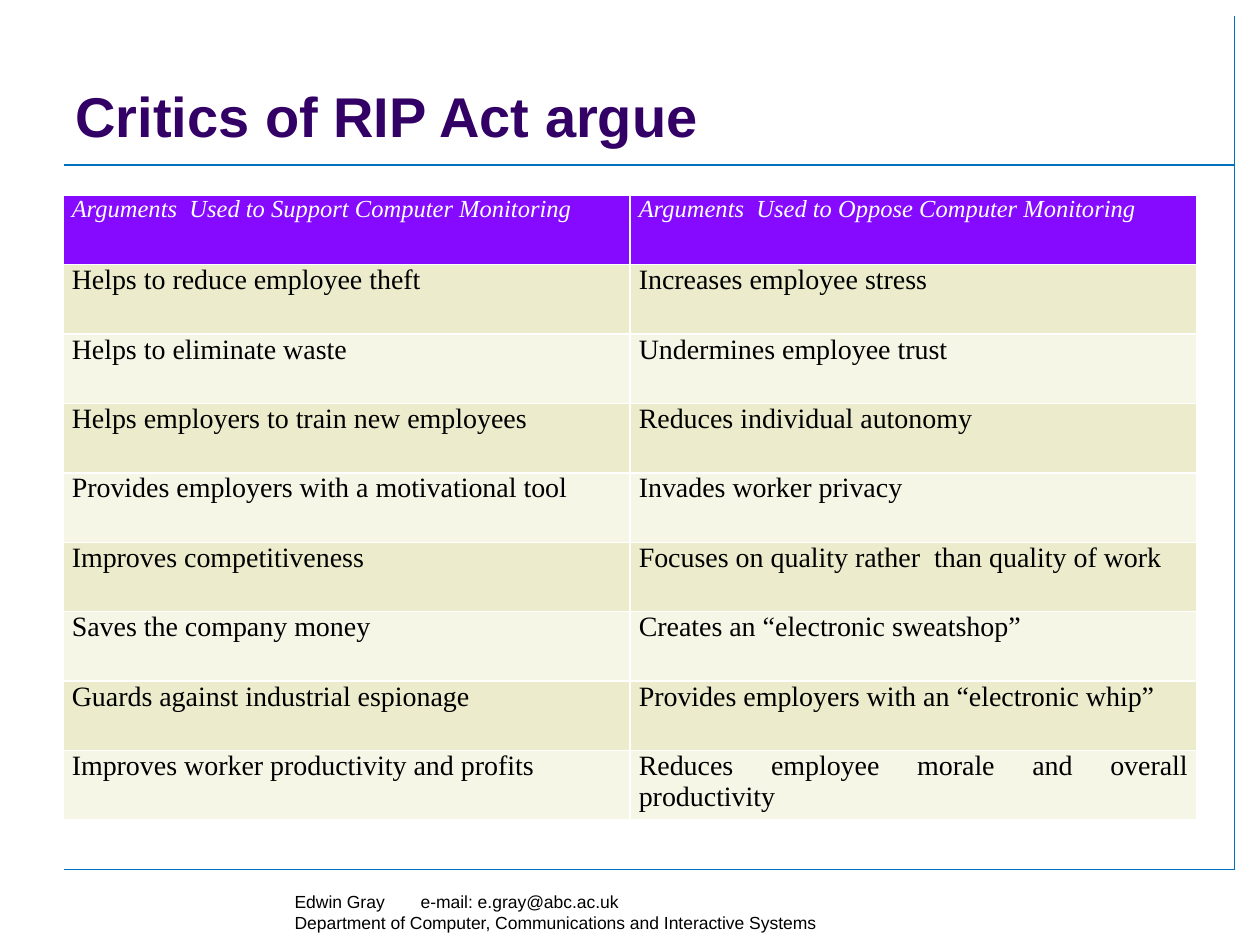
"""Build a slide weighing the arguments for and against computer monitoring."""
from lxml.etree import SubElement
from pptx import Presentation
from pptx.dml.color import RGBColor
from pptx.enum.shapes import MSO_CONNECTOR
from pptx.enum.text import MSO_ANCHOR, PP_ALIGN
from pptx.oxml.ns import qn
from pptx.util import Inches, Pt

BLUE = RGBColor(0x00, 0x70, 0xC0)
INDIGO = RGBColor(0x33, 0x00, 0x66)
VIOLET = RGBColor(0x85, 0x0A, 0xFF)
SAND = RGBColor(0xEC, 0xEC, 0xCC)
CREAM = RGBColor(0xF6, 0xF6, 0xE7)
WHITE = RGBColor(0xFF, 0xFF, 0xFF)
BLACK = RGBColor(0x00, 0x00, 0x00)

TITLE = {"name": "Arial", "size": Pt(32), "bold": True}
FOOTER = {"name": "Arial", "size": Pt(10)}
HEADER = {"name": "Times New Roman", "size": Pt(14), "bold": False, "italic": True}
BODY = {"name": "Times New Roman", "size": Pt(16), "bold": False}

ARGUMENTS = [
    ("Arguments  Used to Support Computer Monitoring", "Arguments  Used to Oppose Computer Monitoring"),
    ("Helps to reduce employee theft", "Increases employee stress"),
    ("Helps to eliminate waste", "Undermines employee trust"),
    ("Helps employers to train new employees", "Reduces individual autonomy"),
    ("Provides employers with a motivational tool", "Invades worker privacy"),
    ("Improves competitiveness", "Focuses on quality rather  than quality of work"),
    ("Saves the company money", "Creates an “electronic sweatshop”"),
    ("Guards against industrial espionage", "Provides employers with an “electronic whip”"),
    ("Improves worker productivity and profits", "Reduces employee morale and overall productivity"),
]


def write(p, text, color, font):
    r = p.add_run()
    r.text = text
    r.font.color.rgb = color
    for name, value in font.items():
        setattr(r.font, name, value)


def add_text(s, box, lines, color, font, anchor):
    tf = s.shapes.add_textbox(*map(Inches, box)).text_frame
    tf.word_wrap = True
    tf.vertical_anchor = anchor
    for i, line in enumerate(lines):
        p = tf.add_paragraph() if i else tf.paragraphs[0]
        write(p, line, color, font)


prs = Presentation()
prs.slide_width, prs.slide_height = Inches(10), Inches(7.5)
s = prs.slides.add_slide(prs.slide_layouts[6])

LEFT, RIGHT, TOP, BOTTOM = 0.51, 9.8, 1.31, 6.9
for ends in [(RIGHT, 0.13, RIGHT, BOTTOM), (LEFT, BOTTOM, RIGHT, BOTTOM), (LEFT, TOP, RIGHT, TOP)]:
    line = s.shapes.add_connector(MSO_CONNECTOR.STRAIGHT, *map(Inches, ends))
    line.line.color.rgb = BLUE
    line.line.width = Pt(0.75)
    SubElement(line._element.spPr, qn("a:effectLst"))

add_text(s, (0.5, 0.68, 9, 0.55), ["Critics of RIP Act argue"], INDIGO, TITLE, MSO_ANCHOR.BOTTOM)

table = s.shapes.add_table(len(ARGUMENTS), 2, *map(Inches, (0.5, 1.55, 9, 4.96))).table
for i, row in enumerate(ARGUMENTS):
    fill = (SAND if i % 2 else CREAM) if i else VIOLET
    for j, text in enumerate(row):
        cell = table.cell(i, j)
        cell.fill.solid()
        cell.fill.fore_color.rgb = fill
        cell.margin_left = cell.margin_right = Inches(0.07)
        cell.margin_top = cell.margin_bottom = 0
        p = cell.text_frame.paragraphs[0]
        p.alignment = PP_ALIGN.JUSTIFY
        write(p, text, BLACK if i else WHITE, BODY if i else HEADER)

contact = [
    "Edwin Gray\te-mail: e.gray@abc.ac.uk",
    "Department of Computer, Communications and Interactive Systems",
]
add_text(s, (2.24, 7.02, 4.57, 0.37), contact, BLACK, FOOTER, MSO_ANCHOR.TOP)

prs.save("out.pptx")
